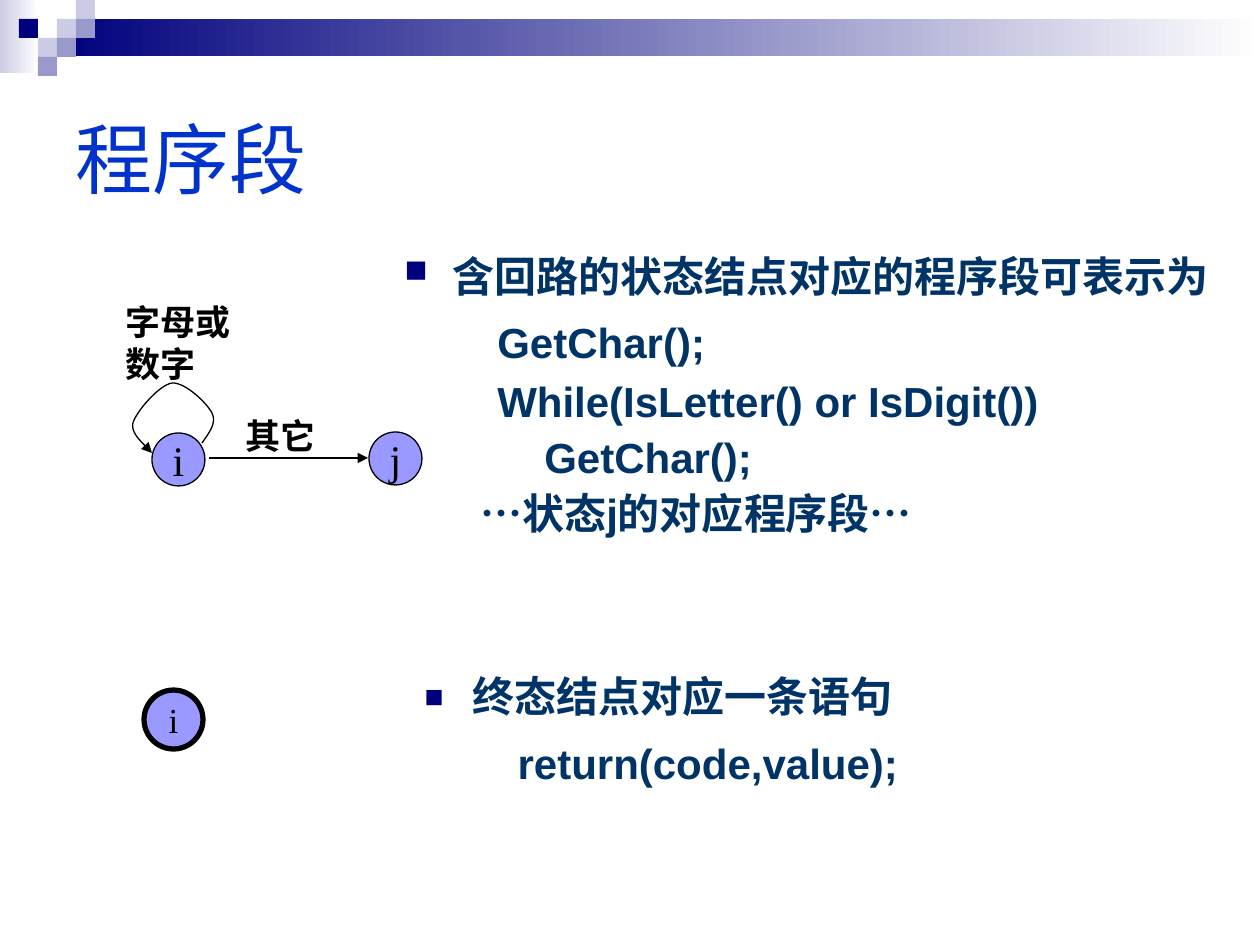
from dataclasses import dataclass

from lxml.etree import SubElement
from pptx import Presentation
from pptx.dml.color import RGBColor
from pptx.enum.shapes import MSO_CONNECTOR as LINK, MSO_SHAPE as KIND
from pptx.enum.text import MSO_ANCHOR as ANCHOR, MSO_AUTO_SIZE as FIT, PP_ALIGN as ALIGN
from pptx.oxml.ns import qn
from pptx.util import Pt

SCALE = 914400 / 126  # EMU per px
HEX = {
    "navy": "00007D", "mid": "9999CC", "pale": "CCCCE6", "white": "FFFFFF",
    "title": "0033CC", "text": "003366", "node": "9999FF", "black": "000000",
}
SANS, SERIF, HAN = "Arial", "Times New Roman", "Noto Sans CJK SC"
UNIT = 19  # side of a square in the corner pattern


@dataclass
class Node:
    x: int
    y: int
    size: int
    text: str
    pt: int
    edge: float


@dataclass
class Label:
    x: int
    y: int
    w: int
    h: int
    text: str


@dataclass
class Line:
    text: str
    left: int
    before: float = 6
    space: float = 0.9
    bullet: bool = False


def px(n: float) -> int:
    return round(n * SCALE)


def box(*sides: int) -> list[int]:
    return [px(n) for n in sides]


def color(name: str) -> RGBColor:
    return RGBColor.from_string(HEX[name])


def place(shape, *sides: int) -> None:
    shape.left, shape.top, shape.width, shape.height = box(*sides)


def style(para, face: str, size: int, hue: str, bold: bool = False) -> None:
    font = para.font
    font.name, font.size, font.bold = face, Pt(size), bold
    font.color.rgb = color(hue)
    SubElement(font._element, qn("a:ea"), typeface=HAN)


def rect(shapes, x: int, y: int, w: int, h: int, hue: str, fade: bool = False) -> None:
    shape = shapes.add_shape(KIND.RECTANGLE, *box(x, y, w, h))
    shape.shadow.inherit = False
    shape.line.fill.background()
    if fade:
        shape.fill.gradient()
        shape.fill.gradient_angle = 0
        for stop, name in zip(shape.fill.gradient_stops, (hue, "white")):
            stop.color.rgb = color(name)
    else:
        shape.fill.solid()
        shape.fill.fore_color.rgb = color(hue)


def circle(shapes, node: Node) -> None:
    shape = shapes.add_shape(KIND.OVAL, *box(node.x, node.y, node.size, node.size))
    shape.shadow.inherit = False
    shape.fill.solid()
    shape.fill.fore_color.rgb = color("node")
    shape.line.color.rgb = color("black")
    shape.line.width = Pt(node.edge)
    frame = shape.text_frame
    frame.word_wrap = False
    frame.vertical_anchor = ANCHOR.MIDDLE
    para = frame.paragraphs[0]
    para.text, para.alignment = node.text, ALIGN.CENTER
    style(para, SERIF, node.pt, "black")


def caption(shapes, label: Label) -> None:
    frame = shapes.add_textbox(*box(label.x, label.y, label.w, label.h)).text_frame
    frame.word_wrap = True
    para = frame.paragraphs[0]
    para.text = label.text
    style(para, SERIF, 20, "black", True)


def arrow(shape) -> None:
    shape.line.color.rgb = color("black")
    shape.line.width = Pt(0.75)
    SubElement(shape.line._get_or_add_ln(), qn("a:tailEnd"), type="triangle")


def curve(a, b, c, d, steps: int = 16) -> list[tuple[int, int]]:
    """Points along a cubic curve, without its start."""
    dots = []
    for n in range(1, steps + 1):
        t = n / steps
        u = 1 - t
        dots.append(tuple(
            px(u**3 * p + 3 * u * u * t * q + 3 * u * t * t * r + t**3 * s)
            for p, q, r, s in zip(a, b, c, d)))
    return dots


def fill_text(frame, lines: list[Line]) -> None:
    frame.word_wrap = True
    frame.auto_size = FIT.NONE
    for n, line in enumerate(lines):
        para = frame.add_paragraph() if n else frame.paragraphs[0]
        para.line_spacing = line.space
        para.space_before = Pt(line.before if n else 0)
        props = para._p.get_or_add_pPr()
        props.set("marL", str(px(line.left)))
        props.set("indent", str(px(-line.left if line.bullet else 0)))
        if line.bullet:
            tint = SubElement(props, qn("a:buClr"))
            SubElement(tint, qn("a:srgbClr"), val=HEX["navy"])
            SubElement(props, qn("a:buSzPct"), val="75000")
            SubElement(props, qn("a:buChar"), char="■")
        else:
            SubElement(props, qn("a:buNone"))
        style(para, SANS, 24, "text", True)
        # Ellipses take the Chinese face
        if line.text.startswith("…"):
            for part in ("…", line.text.strip("…"), "…"):
                run = para.add_run()
                run.text = part
                run.font.name = HAN if part == "…" else SANS
        else:
            para.add_run().text = line.text


def main() -> None:
    deck = Presentation()
    deck.slide_width, deck.slide_height = box(1260, 945)
    slide = deck.slides.add_slide(deck.slide_layouts[1])
    shapes = slide.shapes

    # Header bar and corner squares
    rect(shapes, 0, 0, 39, 73, "pale", True)
    rect(shapes, 3 * UNIT, UNIT, 1260 - 3 * UNIT, 2 * UNIT - 1, "navy", True)
    for col, row, hue in (
        (3, 1, "pale"), (4, 0, "pale"), (4, 1, "mid"), (2, 2, "pale"),
        (1, 1, "navy"), (3, 2, "mid"), (2, 3, "mid"),
    ):
        rect(shapes, col * UNIT, row * UNIT, UNIT, UNIT, hue)

    # Title
    title = shapes.title
    place(title, 63, 63, 1134, 189)
    title.text_frame.vertical_anchor = ANCHOR.MIDDLE
    para = title.text_frame.paragraphs[0]
    para.text, para.alignment = "程序段", ALIGN.LEFT
    style(para, SANS, 44, "title")

    # State diagram
    for node in (
        Node(152, 433, 53, "i", 24, 0.75),
        Node(369, 432, 53, "j", 24, 0.75),
        Node(144, 690, 59, "i", 20, 3),
    ):
        circle(shapes, node)
    for label in (
        Label(113, 294, 139, 97, "字母或数字"),
        Label(233, 408, 139, 55, "其它"),
    ):
        caption(shapes, label)
    link = shapes.add_connector(LINK.STRAIGHT, *box(209, 458, 368, 458))
    arrow(link)
    SubElement(link._element.spPr, qn("a:effectLst"))

    # Loop from state i back to itself
    knots = [(202, 443), (209, 433), (217, 423), (212, 413), (207, 403),
             (185, 382), (172, 383), (159, 385), (136, 412), (133, 423),
             (130, 435), (148, 447), (152, 453)]
    path = shapes.build_freeform(*box(*knots[0]), scale=1.0)
    for n in range(0, len(knots) - 1, 3):
        path.add_line_segments(curve(*knots[n:n + 4]), close=False)
    loop = path.convert_to_shape()
    loop.shadow.inherit = False
    loop.fill.background()
    arrow(loop)

    # Program text
    body = slide.placeholders[1]
    place(body, 412, 670, 626, 159)
    fill_text(body.text_frame, [
        Line("终态结点对应一条语句", 48, bullet=True),
        Line("return(code,value);", 93, 12.5),
    ])
    code = shapes.add_textbox(*box(392, 234, 843, 348))
    fill_text(code.text_frame, [
        Line("含回路的状态结点对应的程序段可表示为", 48, space=1.2, bullet=True),
        Line("GetChar();", 93, 12.5),
        Line("While(IsLetter() or IsDigit())", 93, 7.5),
        Line("GetChar();", 140),
        Line("…状态j的对应程序段…", 76),
    ])

    deck.save("out.pptx")


if __name__ == "__main__":
    main()
